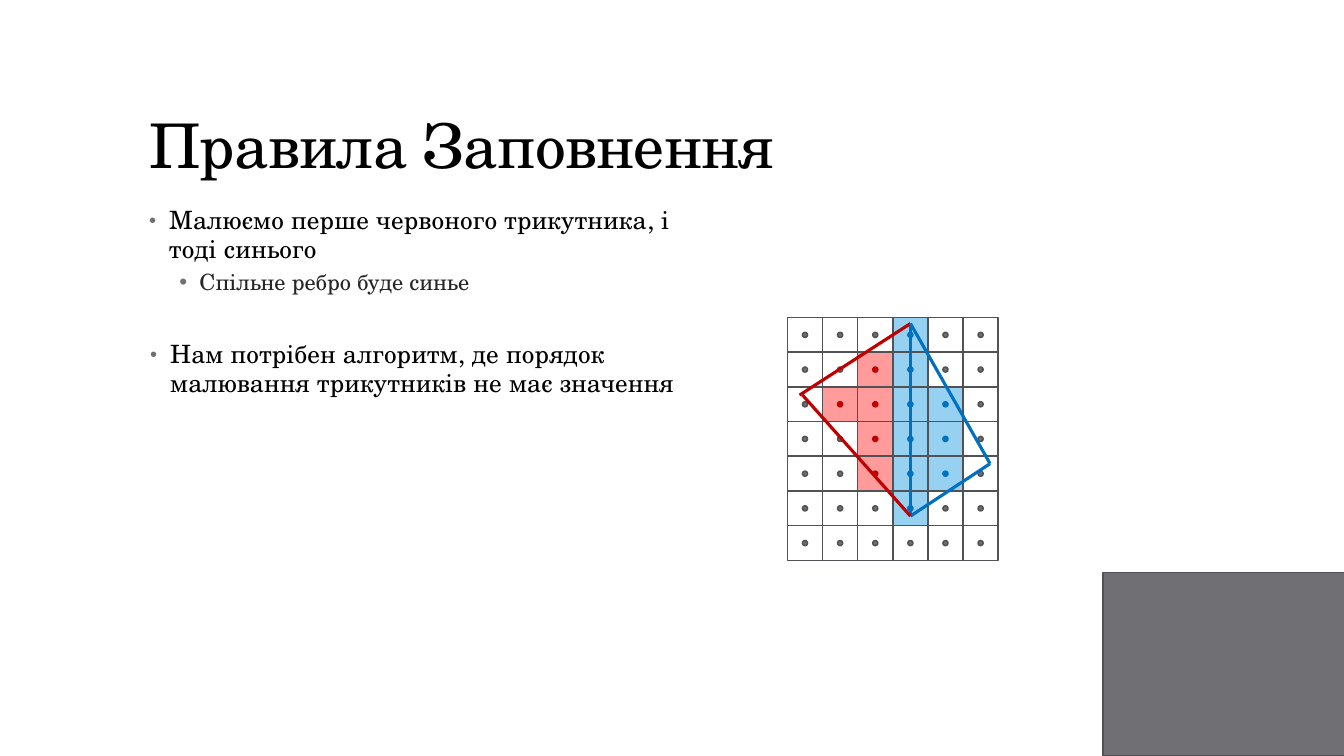
import pptx
import pptx.util
import pptx.dml.color
import pptx.enum.shapes
import pptx.enum.text
import lxml.etree
from pptx.util import Inches

THEME = {
    "font": "TeX Gyre Schola",
    "black": "000000", "dark": "262626", "gray": "6F6F74", "edge": "525256",
    "red": "C00000", "blue": "0070C0", "pink": "FF9B9B", "sky": "97D1F1",
    "title": 44, "main": 18, "sub": 16, "thin": 1.1, "thick": 2.25,
}

TITLE = "Правила Заповнення"
RULES = [
    ("Малюємо перше червоного трикутника, і тоді синього", "main"),
    ("Спільне ребро буде синье", "sub"),
]
GOAL = [("Нам потрібен алгоритм, де порядок малювання трикутників не має значення", "main")]

# level: indent, line spacing, before, after, bullet percent, colour, tracking
LEVELS = {
    "main": (0.2, 0.95, 14, 2, 80, "black", 10),
    "sub": (0.5, 0.9, 3, 3, 100, "dark", 0),
}

# r: red triangle, b: blue triangle
PIXELS = ["...b..", "..rb..", ".rrbb.", "..rbb.", "..rbb.", "...b..", "......"]
# cell fill, dot fill, dot edge
PAINT = {".": (None, "gray", "edge"), "r": ("pink", "red", "red"), "b": ("sky", "blue", "blue")}
GRID = (7.81, 3.15, 2.09, 2.41)
DOT = 0.05

TOP, LOW, RIGHT = (9.03, 3.21), (9.03, 5.12), (9.82, 4.6)
EDGES = [
    (TOP, LOW, "blue"),
    (TOP, (7.93, 3.92), "red"),
    (RIGHT, TOP, "blue"),
    (LOW, RIGHT, "blue"),
    (LOW, (7.96, 3.92), "red"),
]

NS = "http://schemas.openxmlformats.org/drawingml/2006/main"
KIND = pptx.enum.shapes.MSO_SHAPE


def color(name):
    return pptx.dml.color.RGBColor.from_string(THEME[name])


def add_tag(parent, tag, **attrs):
    return lxml.etree.SubElement(parent, f"{{{NS}}}{tag}", **attrs)


def add_block(slide, kind, box, fill, edge):
    shape = slide.shapes.add_shape(kind, *map(Inches, box))
    shape.shadow.inherit = False
    if fill:
        shape.fill.solid()
        shape.fill.fore_color.rgb = color(fill)
    else:
        shape.fill.background()
    shape.line.color.rgb = color(edge)
    shape.line.width = pptx.util.Pt(THEME["thin"])


def add_frame(slide, box):
    frame = slide.shapes.add_textbox(*map(Inches, box)).text_frame
    frame.word_wrap = True
    return frame


def add_run(para, text, size, tint, track):
    run = para.add_run()
    run.text = text
    run.font.name = THEME["font"]
    run.font.size = pptx.util.Pt(THEME[size])
    run.font.color.rgb = color(tint)
    run._r.get_or_add_rPr().set("spc", str(track))


def add_list(slide, box, items):
    frame = add_frame(slide, box)
    for i, (text, level) in enumerate(items):
        indent, space, before, after, scale, tint, track = LEVELS[level]
        para = frame.paragraphs[0] if i == 0 else frame.add_paragraph()
        para.level = int(level == "sub")
        para.line_spacing = space
        para.space_before = pptx.util.Pt(before if i else 0)
        para.space_after = pptx.util.Pt(after)
        props = para._p.get_or_add_pPr()
        props.set("marL", str(Inches(indent)))
        props.set("indent", str(Inches(-0.2)))
        add_tag(add_tag(props, "buClr"), "srgbClr", val=THEME["gray"])
        add_tag(props, "buSzPct", val=str(scale * 1000))
        add_tag(props, "buFont", typeface="Arial")
        add_tag(props, "buChar", char="•")
        add_run(para, text, level, tint, track)


def add_grid(slide):
    left, top, width, height = GRID
    wide, high = width / len(PIXELS[0]), height / len(PIXELS)
    for row, marks in enumerate(PIXELS):
        for col, mark in enumerate(marks):
            x, y = left + col * wide, top + row * high
            cell, dot, edge = PAINT[mark]
            add_block(slide, KIND.RECTANGLE, (x, y, wide, high), cell, "edge")
            spot = (x + (wide - DOT) / 2, y + (high - DOT) / 2, DOT, DOT)
            add_block(slide, KIND.OVAL, spot, dot, edge)


def add_edges(slide):
    for start, end, tint in EDGES:
        line = slide.shapes.add_connector(
            pptx.enum.shapes.MSO_CONNECTOR.STRAIGHT, *map(Inches, start + end))
        line.line.color.rgb = color(tint)
        line.line.width = pptx.util.Pt(THEME["thick"])
        add_tag(line._element.spPr, "effectLst")


def main():
    deck = pptx.Presentation()
    deck.slide_width, deck.slide_height = Inches(13.33), Inches(7.5)
    slide = deck.slides.add_slide(deck.slide_layouts[6])

    add_block(slide, KIND.RECTANGLE, (10.94, 5.68, 2.4, 1.82), "gray", "edge")
    head = add_frame(slide, (1.38, 0.4, 10.6, 1.45))
    head.vertical_anchor = pptx.enum.text.MSO_ANCHOR.BOTTOM
    head.paragraphs[0].line_spacing = 0.9
    add_run(head.paragraphs[0], TITLE, "title", "black", -50)

    add_list(slide, (1.38, 2, 5.74, 1.35), RULES)
    add_grid(slide)
    add_edges(slide)
    add_list(slide, (1.39, 3.33, 5.74, 2.12), GOAL)
    deck.save("out.pptx")


if __name__ == "__main__":
    main()
